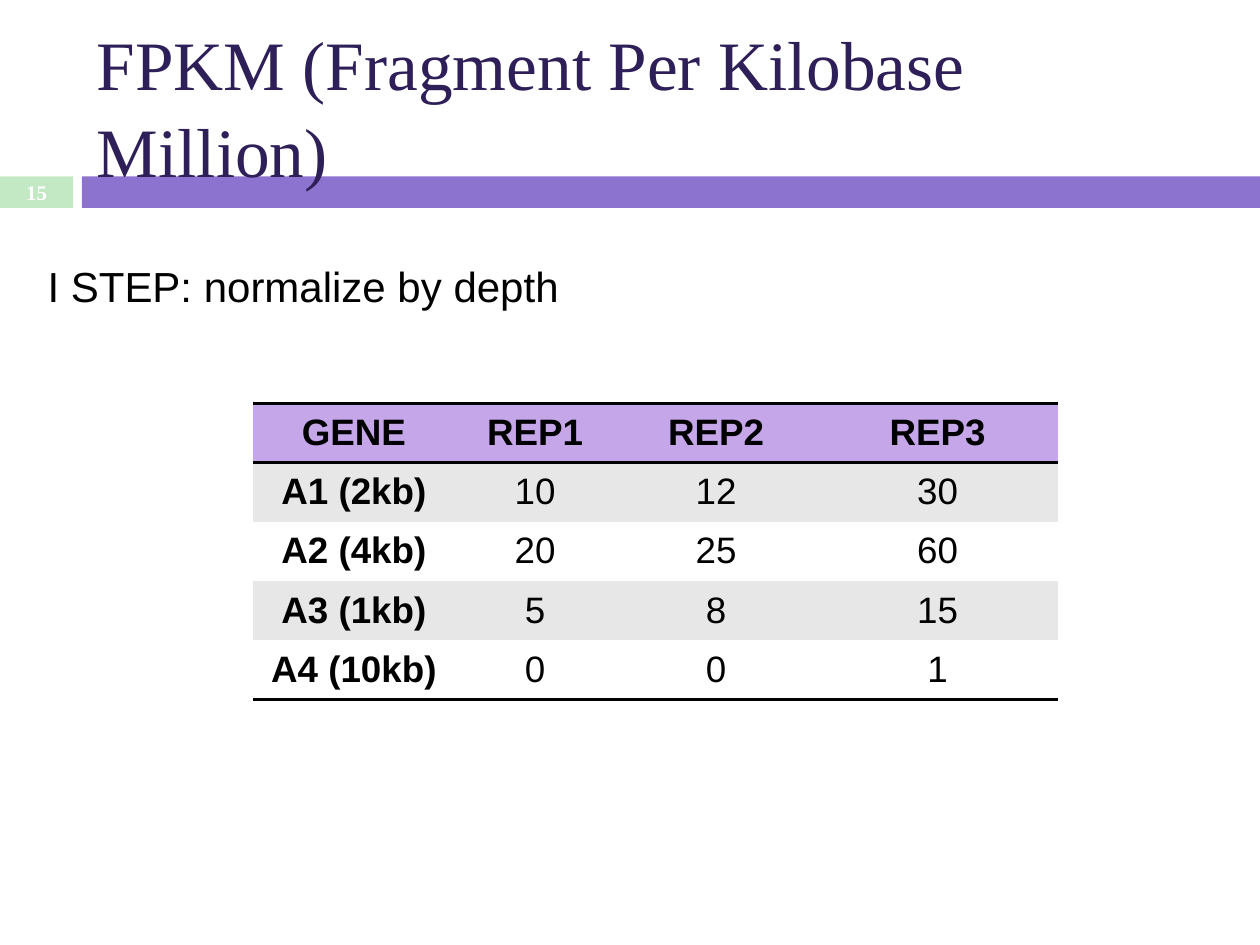
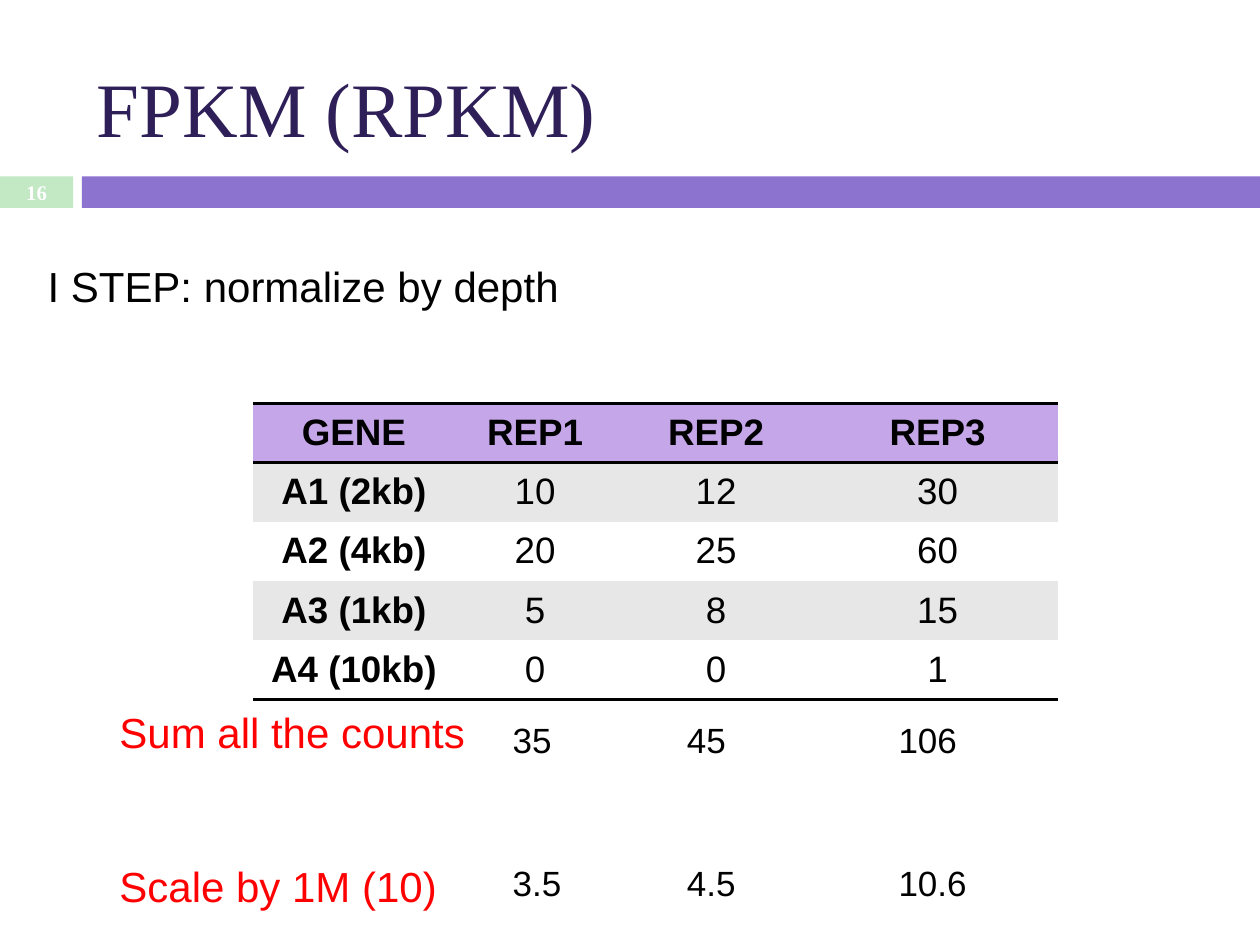
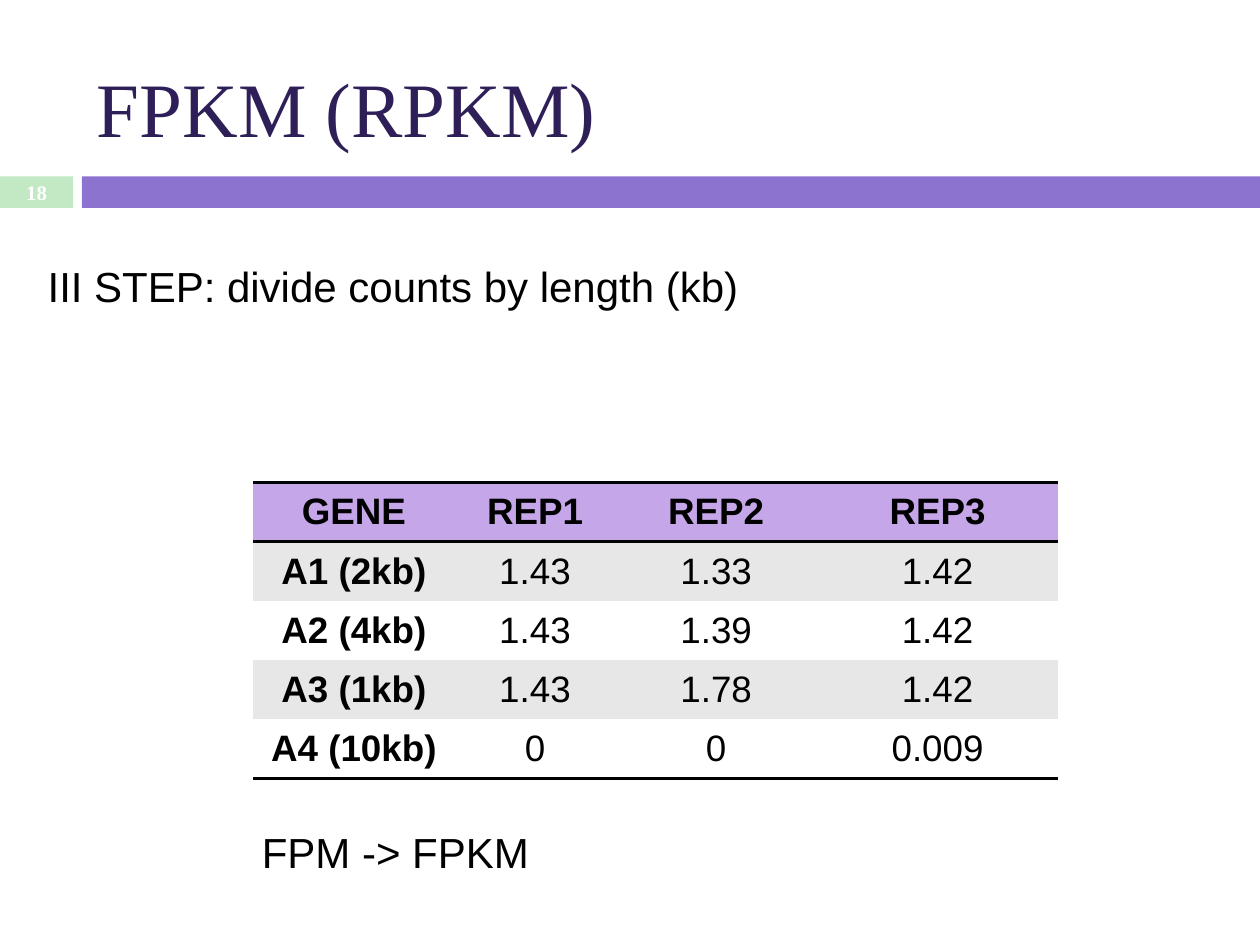
from itertools import accumulate

from lxml.etree import SubElement as Sub
from pptx import Presentation
from pptx.dml.color import RGBColor as Rgb
from pptx.enum.shapes import MSO_SHAPE as Shape
from pptx.enum.text import MSO_ANCHOR as Anchor, MSO_AUTO_SIZE as Auto, PP_ALIGN as Align
from pptx.oxml.ns import qn
from pptx.util import Inches, Pt

HUES = {
    "mint": "C2E8C4", "band": "8C73D0", "title": "2F1F58", "head": "C5A6E8",
    "grey": "E7E7E7", "white": "FFFFFF", "black": "000000", "red": "FF0000",
}
SANS, SERIF = "Arial", "Times New Roman"
COLS, ROWS = 100, 75
WIDE, HIGH = Inches(10), Inches(7.5)
PLAIN = "{2D5ABB26-0587-4C30-8999-92F81FD0307C}"
SPLIT = (0.25, 0.2, 0.25, 0.3)

GENES = ("A1 (2kb)", "A2 (4kb)", "A3 (1kb)", "A4 (10kb)")
HEAD = ("GENE", "REP1", "REP2", "REP3")
COUNTS = (("10", "12", "30"), ("20", "25", "60"), ("5", "8", "15"), ("0", "0", "1"))
FPKM = (("1.43", "1.33", "1.42"), ("1.43", "1.39", "1.42"),
        ("1.43", "1.78", "1.42"), ("0", "0", "0.009"))
SUMS = (("35", "45", "106"), ("3.5", "4.5", "10.6"))


def place(x, y, w, h):
    return (round(x * WIDE / COLS), round(y * HIGH / ROWS),
            round(w * WIDE / COLS), round(h * HIGH / ROWS))


def hue(name):
    return Rgb.from_string(HUES[name])


def style(para, size, tint="black", face=SANS, bold=False):
    for run in para.runs:
        font = run.font
        font.size, font.name, font.bold = Pt(size), face, bold
        font.color.rgb = hue(tint)


def write(slide, box, text, size=24, tint="black", face=SANS, bold=False, wrap=True, gap=0):
    area = slide.shapes.add_textbox(*box)
    frame = area.text_frame
    frame.text = text
    frame.word_wrap = wrap
    for para in frame.paragraphs:
        style(para, size, tint, face, bold)
    for para in frame.paragraphs[1:]:
        para.space_before = Pt(gap)
    return frame


def bar(slide, box, tint):
    rect = slide.shapes.add_shape(Shape.RECTANGLE, *box)
    rect.shadow.inherit = False
    rect.fill.solid()
    rect.fill.fore_color.rgb = hue(tint)
    rect.line.fill.background()


def page(deck, title, number, size=44):
    slide = deck.slides.add_slide(deck.slide_layouts[6])
    bar(slide, place(0, 14, 5.8, 2.5), "mint")
    bar(slide, place(6.5, 14, 93.5, 2.5), "band")
    frame = write(slide, place(6.7, 2.5, 89.2, 10.8), title, size, "title", SERIF)
    frame.vertical_anchor = Anchor.MIDDLE
    frame.margin_top, frame.margin_bottom = Inches(0.1), Inches(0.02)
    frame.paragraphs[0].line_spacing = 1.05
    frame = write(slide, place(0, 13.9, 5.8, 2.7), str(number), 11.9, "white", SERIF, True)
    frame.vertical_anchor = Anchor.MIDDLE
    frame.paragraphs[0].alignment = Align.CENTER
    return slide


def step(slide, box, text):
    write(slide, box, text).auto_size = Auto.SHAPE_TO_FIT_TEXT


def edge(cell, side):
    line = Sub(cell._tc.get_or_add_tcPr(), qn("a:" + side), w=str(Pt(2)))
    fill = Sub(line, qn("a:solidFill"))
    Sub(fill, qn("a:srgbClr"), val=HUES["black"])


def grid(slide, box, values):
    rows = [HEAD] + [(gene, *vals) for gene, vals in zip(GENES, values)]
    table = slide.shapes.add_table(len(rows), len(HEAD), *box).table
    table._tbl.tblPr.find(qn("a:tableStyleId")).text = PLAIN
    table.horz_banding = False
    for col, share in zip(table.columns, SPLIT):
        col.width = round(box[2] * share)
    for r, row in enumerate(rows):
        table.rows[r].height = box[3] // len(rows)
        for c, text in enumerate(row):
            cell = table.cell(r, c)
            cell.text = text
            cell.vertical_anchor = Anchor.MIDDLE
            cell.margin_left = cell.margin_right = Inches(0.11)
            cell.margin_top = cell.margin_bottom = Inches(0.06)
            para = cell.text_frame.paragraphs[0]
            para.alignment = Align.CENTER
            style(para, 21, bold=r == 0 or c == 0)
            if r == 0:
                edge(cell, "lnT")
            if r in (0, len(rows) - 1):
                edge(cell, "lnB")
            cell.fill.solid()
            cell.fill.fore_color.rgb = hue("head" if r == 0 else "grey" if r % 2 else "white")


def totals(slide, box):
    text = "\n".join("\t".join(row) for row in SUMS)
    frame = write(slide, box, text, 20, gap=58)
    frame.margin_left = round(box[2] * 0.19)
    for para in frame.paragraphs:
        tabs = Sub(para._p.get_or_add_pPr(), qn("a:tabLst"))
        for stop in accumulate((0.28, 0.34)):
            Sub(tabs, qn("a:tab"), pos=str(round(box[2] * stop)), algn="l")


def main():
    deck = Presentation()
    deck.slide_width, deck.slide_height = WIDE, HIGH
    lead = place(2.8, 20.2, 60, 5)
    mid = place(20.1, 32, 63.9, 23.2)

    slide = page(deck, "FPKM (Fragment Per Kilobase Million)", 15, 39.6)
    grid(slide, mid, COUNTS)
    step(slide, lead, "I STEP: normalize by depth")

    slide = page(deck, "FPKM (RPKM)", 16)
    grid(slide, mid, COUNTS)
    step(slide, lead, "I STEP: normalize by depth")
    totals(slide, place(31.3, 56.5, 49.4, 15.8))
    write(slide, place(8.5, 55.6, 29.7, 17.2), "Sum all the counts\nScale by 1M (10)",
          tint="red", wrap=False, gap=59)

    slide = page(deck, "FPKM (RPKM)", 18)
    grid(slide, place(20.1, 38.3, 63.9, 23.2), FPKM)
    step(slide, lead, "III STEP: divide counts by length (kb)")
    step(slide, place(19.8, 65.1, 60, 5), "FPM -> FPKM")

    deck.save("out.pptx")


if __name__ == "__main__":
    main()
